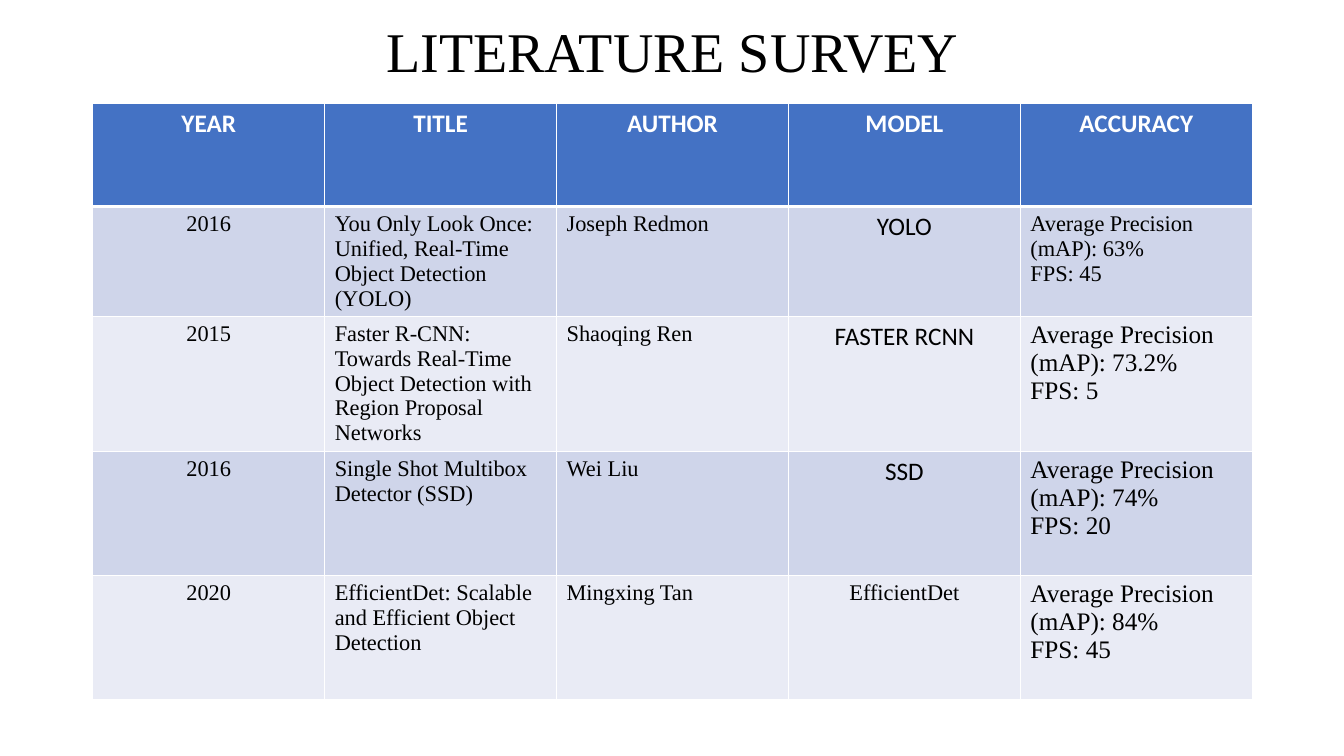
import pptx
import pptx.dml.color
import pptx.enum.text
import pptx.util
from lxml import etree

PX = 9144
WHITE = pptx.dml.color.RGBColor(0xFF, 0xFF, 0xFF)
BLACK = pptx.dml.color.RGBColor(0x00, 0x00, 0x00)
BLUE = pptx.dml.color.RGBColor(0x44, 0x72, 0xC4)
BANDS = (pptx.dml.color.RGBColor(0xCF, 0xD5, 0xEA),
         pptx.dml.color.RGBColor(0xE9, 0xEB, 0xF5))
SERIF, SANS = "Times New Roman", "Calibri"
CENTER = pptx.enum.text.PP_ALIGN.CENTER
LEFT = pptx.enum.text.PP_ALIGN.LEFT
A = "http://schemas.openxmlformats.org/drawingml/2006/main"

HEADERS = ("YEAR", "TITLE", "AUTHOR", "MODEL", "ACCURACY")
PAPERS = (
    ("2016", "You Only Look Once: Unified, Real-Time Object Detection (YOLO)",
     "Joseph Redmon", "YOLO", "Average Precision (mAP): 63%\nFPS: 45"),
    ("2015", "Faster R-CNN: Towards Real-Time Object Detection with Region Proposal Networks",
     "Shaoqing Ren", "FASTER RCNN", "Average Precision (mAP): 73.2%\nFPS: 5"),
    ("2016", "Single Shot Multibox Detector (SSD)",
     "Wei Liu", "SSD", "Average Precision (mAP): 74%\nFPS: 20"),
    ("2020", "EfficientDet: Scalable and Efficient Object Detection",
     "Mingxing Tan", "EfficientDet", "Average Precision (mAP): 84%\nFPS: 45"),
)
ROW_HEIGHTS = (102, 108, 134, 123, 123)
ALIGNS = (CENTER, LEFT, LEFT, CENTER, LEFT)
BODY_FORMAT = {"font": SERIF, "size": 16}
MODEL_FORMAT = {"font": SANS, "size": 18}
FIRST_ACCURACY, LAST_MODEL = (1, 4), (4, 3)


def emu(*lengths):
    """Turn px lengths into EMU."""
    return [pptx.util.Emu(n * PX) for n in lengths]


def write(tf, text, font=SERIF, size=16, color=BLACK, bold=False, align=LEFT, spacing=None):
    """Fill a text frame with one paragraph per line of text."""
    for i, line in enumerate(text.split("\n")):
        p = tf.add_paragraph() if i else tf.paragraphs[0]
        p.alignment = align
        p.line_spacing = spacing
        r = p.add_run()
        r.text = line
        r.font.name = font
        r.font.size = pptx.util.Pt(size)
        r.font.bold = bold
        r.font.color.rgb = color


def paint_cell(cell, fill, bottom=1):
    """Fill a cell and give it white borders."""
    cell.fill.solid()
    cell.fill.fore_color.rgb = fill
    tc_pr = cell._tc.get_or_add_tcPr()
    for i, (side, width) in enumerate((("L", 1), ("R", 1), ("T", 1), ("B", bottom))):
        ln = etree.Element(f"{{{A}}}ln{side}", w=str(pptx.util.Pt(width)))
        solid = etree.SubElement(ln, f"{{{A}}}solidFill")
        etree.SubElement(solid, f"{{{A}}}srgbClr", val=str(WHITE))
        tc_pr.insert(i, ln)


def body_format(row, col):
    """Choose the font and size of a body cell."""
    if col == 3 and (row, col) != LAST_MODEL:
        return MODEL_FORMAT
    if col == 4 and (row, col) != FIRST_ACCURACY:
        return {"font": SERIF, "size": 18}
    return BODY_FORMAT


def add_title(slide, x, y, w, h):
    """Place the slide title."""
    sp = slide.shapes.title
    sp.left, sp.top, sp.width, sp.height = emu(x, y, w, h)
    tf = sp.text_frame
    tf.auto_size = pptx.enum.text.MSO_AUTO_SIZE.NONE
    tf.vertical_anchor = pptx.enum.text.MSO_ANCHOR.MIDDLE
    write(tf, "LITERATURE SURVEY", size=40, align=CENTER, spacing=0.9)


def add_survey_table(slide, x, y, w):
    """Place the table of surveyed papers."""
    box = emu(x, y, w, sum(ROW_HEIGHTS))
    table = slide.shapes.add_table(len(ROW_HEIGHTS), len(HEADERS), *box).table
    for column in table.columns:
        column.width = emu(w // len(HEADERS))[0]
    for row, height in zip(table.rows, emu(*ROW_HEIGHTS)):
        row.height = height
    for col, text in enumerate(HEADERS):
        cell = table.cell(0, col)
        paint_cell(cell, BLUE, bottom=3)
        write(cell.text_frame, text, font=SANS, size=18, color=WHITE, bold=True, align=CENTER)
    for row, paper in enumerate(PAPERS, 1):
        for col, text in enumerate(paper):
            cell = table.cell(row, col)
            paint_cell(cell, BANDS[(row - 1) % 2], bottom=1)
            if row == 1:
                top = cell._tc.tcPr.find(f"{{{A}}}lnT")
                top.set("w", str(pptx.util.Pt(3)))
            write(cell.text_frame, text, align=ALIGNS[col], **body_format(row, col))


def main():
    """Build the literature survey slide."""
    prs = pptx.Presentation()
    prs.slide_width, prs.slide_height = emu(1333, 750)
    slide = prs.slides.add_slide(prs.slide_layouts[5])
    add_title(slide, 92, 13, 1150, 82)
    add_survey_table(slide, 92, 103, 1150)
    prs.save("out.pptx")


if __name__ == "__main__":
    main()
